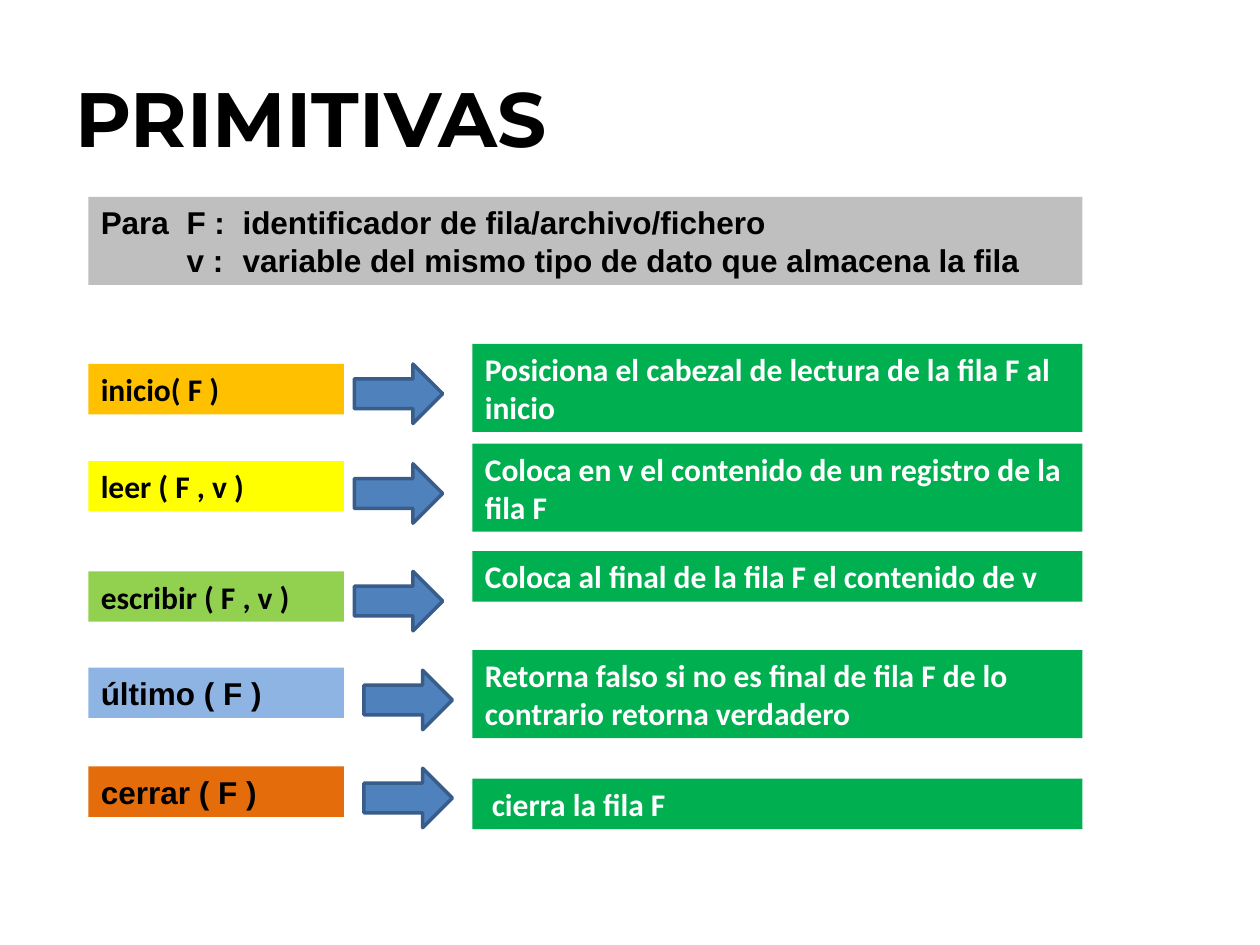
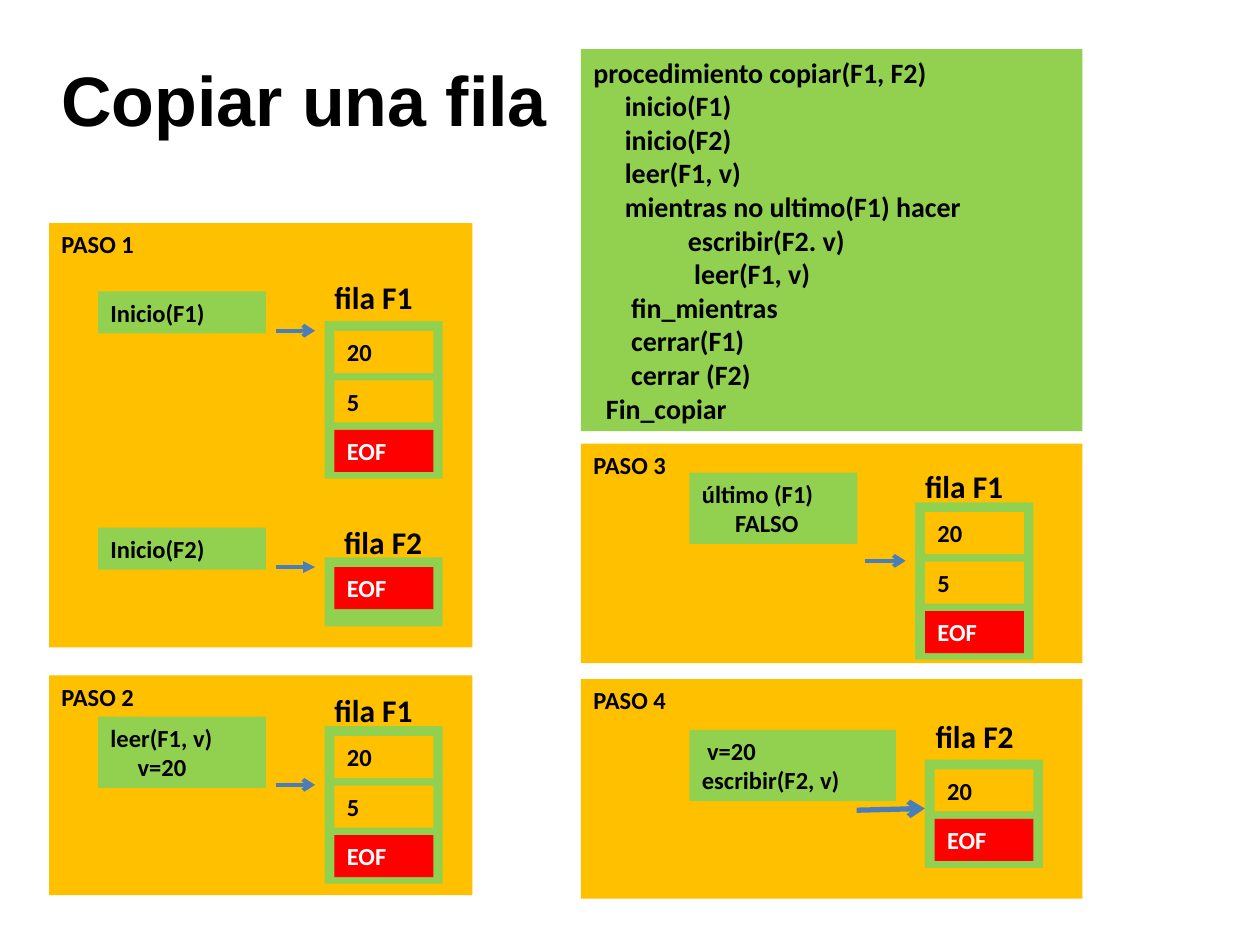
from lxml.etree import SubElement
from pptx import Presentation
from pptx.dml.color import RGBColor
from pptx.enum.shapes import MSO_CONNECTOR, MSO_SHAPE
from pptx.enum.text import MSO_ANCHOR, PP_ALIGN
from pptx.oxml.ns import qn
from pptx.util import Pt

INK = {
    "black": "000000", "white": "FFFFFF", "gray": "BFBFBF", "gold": "FFC000",
    "yellow": "FFFF00", "lime": "92D050", "sky": "8EB4E3", "orange": "E46C0A",
    "green": "00B050", "red": "FF0000", "blue": "4F81BD", "navy": "385D8A",
    "line": "4A7EBB",
}

# A text line is a string, or a pair (left indent, string).
NOTE = ["Para\tF :\tidentificador de fila/archivo/fichero",
        "\tv :\tvariable del mismo tipo de dato que almacena la fila"]
NOTE_TABS = (49, 81)

# call, font, colour, call top, arrow left, arrow top, meaning, meaning top, rows
CALLS = [
    ("inicio( F )", "Calibri", "gold", 208, 202.5, 208,
     "Posiciona el cabezal de lectura de la fila F al inicio", 196.5, 2),
    ("leer ( F , v )", "Calibri", "yellow", 263.5, 202.5, 265,
     "Coloca en v el contenido de un registro de la fila F", 253.5, 2),
    ("escribir ( F , v )", "Calibri", "lime", 326.5, 202.5, 326.5,
     "Coloca al final de la fila F el contenido de v", 315, 1),
    ("último ( F )", "Arial", "sky", 381.5, 208, 383,
     "Retorna falso si no es final de fila F de lo contrario retorna verdadero",
     371.5, 2),
    ("cerrar ( F )", "Arial", "orange", 438, 208, 439,
     (4, "cierra la fila F"), 445, 1),
]

CODE = """procedimiento copiar(F1, F2)
     inicio(F1)
     inicio(F2)
     leer(F1, v)
     mientras no ultimo(F1) hacer
               escribir(F2. v)
                leer(F1, v)
      fin_mientras
      cerrar(F1)
      cerrar (F2)
  Fin_copiar"""

# panel: title and box
PANELS = [
    ("PASO 1", (28, 127.5, 242, 242.5)),
    ("PASO 2", (28, 386, 242, 125.5)),
    ("PASO 3", (332, 253.5, 286.5, 125.5)),
    ("PASO 4", (332, 388, 286.5, 125.5)),
]

# call: left, top, width, lines
BOXES = [
    (56, 166.5, 96, ["Inicio(F1)"]),
    (56, 301.5, 96, ["Inicio(F2)"]),
    (56, 409.5, 96, ["leer(F1, v)", (15.5, "v=20")]),
    (394, 270, 96, ["último (F1)", (19, "FALSO")]),
    (394, 417, 118, [(3, "v=20"), "escribir(F2, v)"]),
]

# file: left, top, height, cells, name, name left, name top
FULL = ["20", "5", "EOF"]
FILES = [
    (185.5, 183.5, 90, FULL, "fila F1", 180, 155.5),
    (185.5, 318.5, 39.5, ["EOF"], "fila F2", 185.5, 295.5),
    (185.5, 415, 90, FULL, "fila F1", 180, 391.5),
    (523, 287, 90, FULL, "fila F1", 517.5, 263.5),
    (528.5, 434, 62, ["20", "EOF"], "fila F2", 523.5, 406),
]

# arrow: from x, y, to x, y, width, head
ARROWS = [
    (157.5, 189, 180, 189, 2.25, "arrow"),
    (157.5, 324, 180, 324, 2.25, "triangle"),
    (157.5, 448.5, 180, 448.5, 2.25, "arrow"),
    (494.5, 320.5, 517.5, 320.5, 2.25, "arrow"),
    (489.5, 463, 528.5, 462, 3, "arrow"),
]

PAD, GAP, STEP = 3.6, 5.6, 28.3


def color(name):
    return RGBColor.from_string(INK[name])


def tall(size, rows=1):
    """Height of a box that holds this many rows of text."""
    return round(size * 1.2 * rows + 2 * PAD, 2)


def write(shape, lines, size, font="Calibri", ink="black", tabs=()):
    frame = shape.text_frame
    frame.word_wrap = True
    frame.margin_left = frame.margin_right = Pt(2 * PAD)
    frame.margin_top = frame.margin_bottom = Pt(PAD)
    frame.vertical_anchor = MSO_ANCHOR.TOP
    for i, line in enumerate(lines):
        indent, text = line if isinstance(line, tuple) else (0, line)
        para = frame.paragraphs[0] if i == 0 else frame.add_paragraph()
        para.text = text
        para.alignment = PP_ALIGN.LEFT
        props = para._p.get_or_add_pPr()
        props.set("marL", str(Pt(indent)))
        if tabs:
            stops = SubElement(props, qn("a:tabLst"))
            for stop in tabs:
                SubElement(stops, qn("a:tab"), pos=str(Pt(stop)), algn="l")
        para.font.size, para.font.name, para.font.bold = Pt(size), font, True
        para.font.color.rgb = color(ink)


def block(slide, box, fill, kind=MSO_SHAPE.RECTANGLE):
    shape = slide.shapes.add_shape(kind, *map(Pt, box))
    shape.shadow.inherit = False
    shape.fill.solid()
    shape.fill.fore_color.rgb = color(fill)
    shape.line.fill.background()
    return shape


def label(slide, box, text, size, font="Calibri"):
    shape = slide.shapes.add_textbox(*map(Pt, box))
    write(shape, [text], size, font)
    return shape


def title(slide, box, text, size, font):
    shape = label(slide, box, text, size, font)
    shape.text_frame.vertical_anchor = MSO_ANCHOR.MIDDLE


def arrow(slide, x, y, to_x, to_y, width, head):
    link = slide.shapes.add_connector(
        MSO_CONNECTOR.STRAIGHT, *map(Pt, (x, y, to_x, to_y)))
    link.line.color.rgb = color("line")
    link.line.width = Pt(width)
    SubElement(link.line._get_or_add_ln(), qn("a:tailEnd"), type=head)
    SubElement(link._element.spPr, qn("a:effectLst"))


def stack(slide, x, y, height, cells, name, name_x, name_y):
    """Draw a file as a frame with its cells and its name."""
    block(slide, (x, y, 67.5, height), "lime")
    for i, cell in enumerate(cells):
        fill, ink = ("red", "white") if cell == "EOF" else ("gold", "black")
        box = (x + GAP, y + GAP + i * STEP, 56.5, tall(14))
        write(block(slide, box, fill), [cell], 14, ink=ink)
    label(slide, (name_x, name_y, 84, tall(18)), (4, name), 18)


def list_calls(slide):
    title(slide, (36, 21.5, 648, 90), "PRIMITIVAS", 44, "Montserrat")
    note = block(slide, (50.5, 112.5, 568, tall(18, 2)), "gray")
    write(note, NOTE, 18, "Arial", tabs=NOTE_TABS)
    for call, font, fill, top, left, mid, text, text_top, rows in CALLS:
        write(block(slide, (50.5, top, 146, tall(18)), fill), [call], 18, font)
        mark = block(slide, (left, mid, 50.5, 34), "blue", MSO_SHAPE.RIGHT_ARROW)
        mark.line.color.rgb = color("navy")
        mark.line.width = Pt(2)
        box = (270, text_top, 348.5, tall(18, rows))
        write(block(slide, box, "green"), [text], 18, ink="white")


def show_copy(slide):
    title(slide, (28, 22.5, 315, 67.5), "Copiar una fila", 40, "Arial")
    lines = CODE.split("\n")
    code = block(slide, (332, 28, 286.5, tall(16, len(lines))), "lime")
    write(code, lines, 16)
    for name, box in PANELS:
        write(block(slide, box, "gold"), [name], 14)
    for x, y, width, calls in BOXES:
        box = (x, y, width, tall(14, len(calls)))
        write(block(slide, box, "lime"), calls, 14)
    for file in FILES:
        stack(slide, *file)
    for ends in ARROWS:
        arrow(slide, *ends)


def main():
    deck = Presentation()
    deck.slide_width, deck.slide_height = Pt(720), Pt(540)
    for draw in (list_calls, show_copy):
        draw(deck.slides.add_slide(deck.slide_layouts[6]))
    deck.save("out.pptx")


if __name__ == "__main__":
    main()
